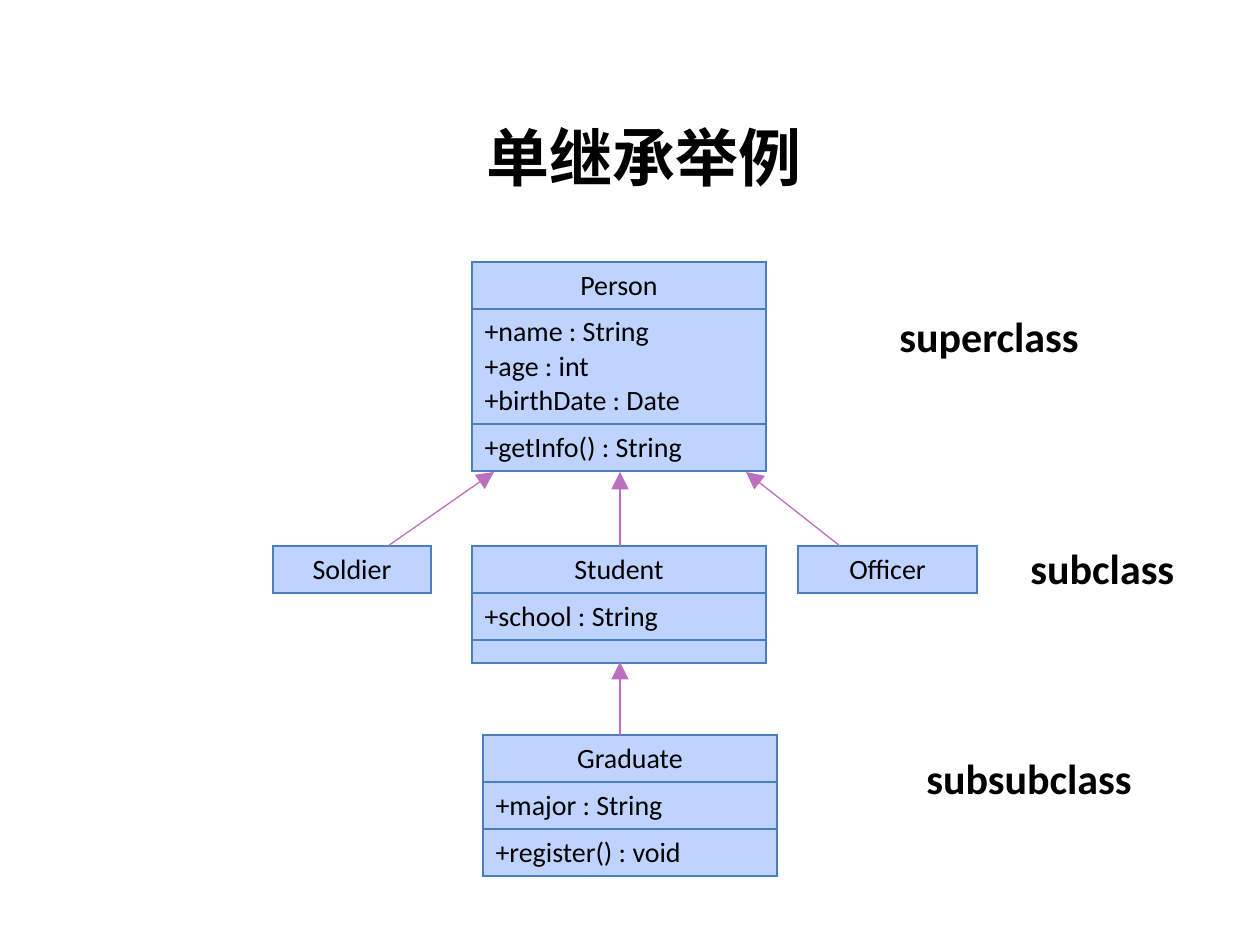
from lxml import etree
from pptx import Presentation
from pptx import util as u
from pptx.dml.color import RGBColor
from pptx.enum import shapes, text
from pptx.oxml import ns

SCALE = 914400 / 126
FILL, BORDER, ARROW, INK = "BFD3FF", "4B7EBC", "BD6FBF", "000000"
ROW, LINE, EMPTY_ROW = 47, 34, 23

TITLE = ("单继承举例", 375, 106, 538, 100)
CLASSES = [
    (472, 262, 294, ["Person"], ["+name : String", "+age : int", "+birthDate : Date"],
     ["+getInfo() : String"]),
    (472, 546, 294, ["Student"], ["+school : String"], []),
    (273, 546, 158, ["Soldier"]),
    (798, 546, 179, ["Officer"]),
    (483, 735, 294, ["Graduate"], ["+major : String"], ["+register() : void"]),
]
ARROWS = [
    (620, 546, 620, 472),
    (840, 546, 746, 472),
    (388, 546, 494, 472),
    (620, 735, 620, 662),
]
LEVELS = [
    ("superclass", 887, 304, 262),
    ("subclass", 1018, 536, 197),
    ("subsubclass", 914, 746, 252),
]


def px(value):
    return u.Emu(round(value * SCALE))


def color(value):
    return RGBColor.from_string(value)


def add_child(parent, tag, **attributes):
    return etree.SubElement(parent, ns.qn(tag), **attributes)


def write(frame, lines, size=16, font="Calibri", bold=False, align=text.PP_ALIGN.LEFT):
    for index, line in enumerate(lines):
        paragraph = frame.add_paragraph() if index else frame.paragraphs[0]
        paragraph.alignment = align
        run = paragraph.add_run()
        run.text = line
        run.font.size = u.Pt(size)
        run.font.name = font
        run.font.bold = bold
        run.font.color.rgb = color(INK)


def add_label(slide, words, left, top, width, height, anchor=text.MSO_ANCHOR.TOP, **style):
    box = slide.shapes.add_textbox(px(left), px(top), px(width), px(height))
    frame = box.text_frame
    frame.word_wrap = True
    frame.vertical_anchor = anchor
    write(frame, [words], bold=True, **style)


def format_cell(cell):
    properties = cell._tc.get_or_add_tcPr()
    for side in ("a:lnL", "a:lnR", "a:lnT", "a:lnB"):
        line = add_child(properties, side, w=str(u.Pt(0.75)))
        add_child(add_child(line, "a:solidFill"), "a:srgbClr", val=BORDER)
    cell.fill.solid()
    cell.fill.fore_color.rgb = color(FILL)
    cell.vertical_anchor = text.MSO_ANCHOR.MIDDLE


def add_class(slide, left, top, width, *sections):
    heights = [ROW + LINE * (len(lines) - 1) if lines else EMPTY_ROW for lines in sections]
    table = slide.shapes.add_table(
        len(sections), 1, px(left), px(top), px(width), px(sum(heights))).table
    table.first_row = table.horz_banding = False
    for index, (lines, height) in enumerate(zip(sections, heights)):
        table.rows[index].height = px(height)
        cell = table.cell(index, 0)
        format_cell(cell)
        if lines:
            align = text.PP_ALIGN.LEFT if index else text.PP_ALIGN.CENTER
            write(cell.text_frame, lines, align=align)
        else:
            add_child(cell.text_frame.paragraphs[0]._p, "a:endParaRPr", sz="400")


def add_arrow(slide, *ends):
    connector = slide.shapes.add_connector(shapes.MSO_CONNECTOR.STRAIGHT, *map(px, ends))
    connector.line.color.rgb = color(ARROW)
    connector.line.width = u.Pt(0.75)
    add_child(connector.line._get_or_add_ln(), "a:tailEnd", type="triangle", w="lg", len="lg")
    add_child(connector._element.spPr, "a:effectLst")


def main():
    presentation = Presentation()
    presentation.slide_width, presentation.slide_height = px(1260), px(945)
    slide = presentation.slides.add_slide(presentation.slide_layouts[6])
    add_label(slide, *TITLE, anchor=text.MSO_ANCHOR.MIDDLE, size=36,
              font="Times New Roman", align=text.PP_ALIGN.CENTER)
    for item in CLASSES:
        add_class(slide, *item)
    for ends in ARROWS:
        add_arrow(slide, *ends)
    for words, left, top, width in LEVELS:
        add_label(slide, words, left, top, width, 63, size=24)
    presentation.save("out.pptx")


if __name__ == "__main__":
    main()
